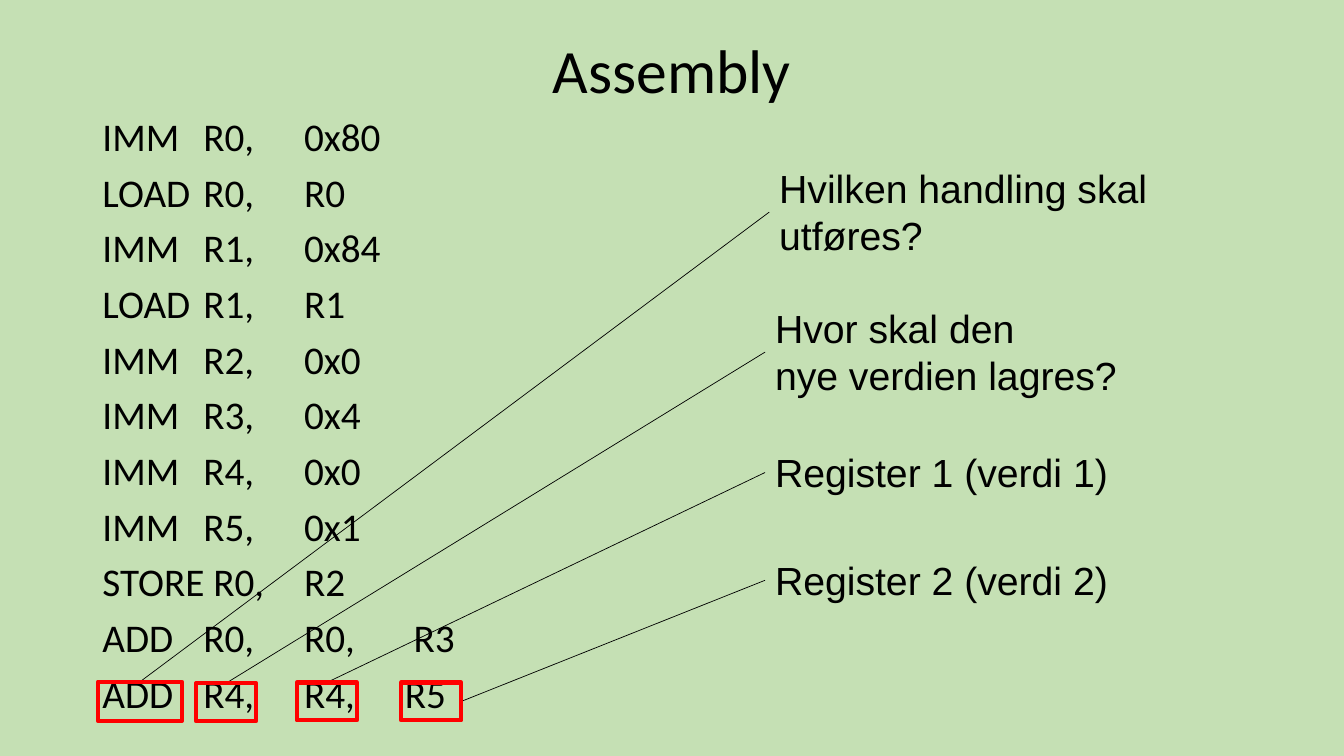
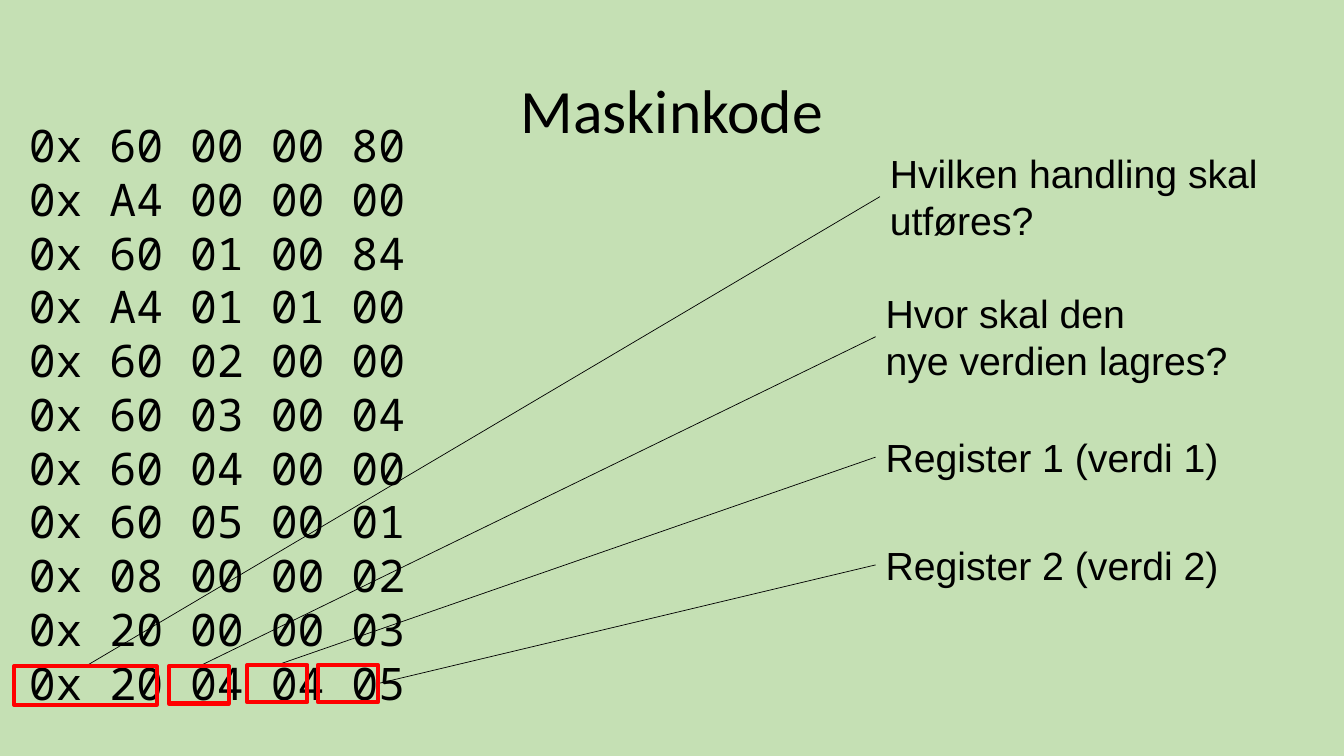
from dataclasses import dataclass

import lxml.etree
import pptx
import pptx.dml.color
import pptx.enum.shapes
import pptx.enum.text
import pptx.oxml.ns
import pptx.util

Pt = pptx.util.Pt
qn = pptx.oxml.ns.qn


# Shared look
@dataclass(frozen=True)
class Theme:
    background: str = "C5E0B4"
    ink: str = "000000"
    highlight: str = "FF0000"
    title_font: str = "Calibri"
    label_font: str = "Arial"
    machine_font: str = "Noto Sans Mono"
    title_size: float = 44
    text_size: float = 28
    machine_size: float = 32
    leader_width: float = 0.5
    frame_width: float = 3


@dataclass(frozen=True)
class Box:
    left: float
    top: float
    width: float
    height: float


@dataclass(frozen=True)
class Label:
    lines: tuple[str, ...]
    box: Box  # relative to the label column


THEME = Theme()
SLIDE_WIDTH, SLIDE_HEIGHT = 960, 540
TAB_GAP = 72

LABELS = (
    Label(("Hvilken handling skal utføres?",), Box(3, 0, 284, 75)),
    Label(("Hvor skal den", "nye verdien lagres?"), Box(0, 100, 287, 75)),
    Label(("Register 1 (verdi 1)",), Box(0, 203, 287, 41)),
    Label(("Register 2 (verdi 2)",), Box(0, 280, 287, 41)),
)

ASSEMBLY = (
    "IMM \tR0, \t0x80",
    "LOAD \tR0, \tR0",
    "IMM \tR1, \t0x84",
    "LOAD \tR1, \tR1",
    "IMM \tR2, \t0x0",
    "IMM \tR3, \t0x4",
    "IMM \tR4, \t0x0",
    "IMM \tR5, \t0x1",
    "STORE R0, \tR2",
    "ADD \tR0, \tR0,\t R3",
    "ADD \tR4, \tR4, \tR5",
)
MACHINE_CODE = (
    "0x 60 00 00 80",
    "0x A4 00 00 00",
    "0x 60 01 00 84",
    "0x A4 01 01 00",
    "0x 60 02 00 00",
    "0x 60 03 00 04",
    "0x 60 04 00 00",
    "0x 60 05 00 01",
    "0x 08 00 00 02",
    "0x 20 00 00 03",
    "0x 20 04 04 05",
)
ASSEMBLY_FRAMES = (
    Box(70, 487, 60, 28),
    Box(140, 488, 43, 27),
    Box(212, 487.5, 43, 27),
    Box(286.5, 487.5, 43, 27),
)
MACHINE_FRAMES = (
    Box(10, 476, 102, 27.5),
    Box(120.5, 476, 43, 26.5),
    Box(176.5, 475, 43, 26.5),
    Box(227, 475, 43, 26.5),
)


# Text helpers
def color(value: str) -> pptx.dml.color.RGBColor:
    return pptx.dml.color.RGBColor.from_string(value)


def write_text(shape, lines: tuple[str, ...], *, font: str, size: float,
               spacing: float | None = None, before: float = 0,
               alignment=None, tabs: int = 0) -> None:
    frame = shape.text_frame
    frame.word_wrap = True
    frame.auto_size = pptx.enum.text.MSO_AUTO_SIZE.NONE
    for index, line in enumerate(lines):
        paragraph = frame.add_paragraph() if index else frame.paragraphs[0]
        paragraph.alignment = alignment
        paragraph.line_spacing = spacing
        paragraph.space_before = Pt(before if index else 0)
        if tabs:
            set_plain_list(paragraph, tabs)
        run = paragraph.add_run()
        run.text = line
        run.font.name = font
        run.font.size = Pt(size)
        run.font.color.rgb = color(THEME.ink)


def set_plain_list(paragraph, tabs: int) -> None:
    """Remove the bullet and indent, and set evenly spaced tab stops."""
    properties = paragraph._p.get_or_add_pPr()
    properties.set("marL", "0")
    properties.set("indent", "0")
    lxml.etree.SubElement(properties, qn("a:buNone"))
    tab_list = lxml.etree.SubElement(properties, qn("a:tabLst"))
    for number in range(1, tabs + 1):
        lxml.etree.SubElement(tab_list, qn("a:tab"),
                              pos=str(Pt(number * TAB_GAP)), algn="l")


# Drawing helpers
def place(shape, box: Box) -> None:
    shape.left, shape.top = Pt(box.left), Pt(box.top)
    shape.width, shape.height = Pt(box.width), Pt(box.height)


def add_text_box(slide, box: Box):
    return slide.shapes.add_textbox(Pt(box.left), Pt(box.top),
                                    Pt(box.width), Pt(box.height))


def add_title(slide, text: str, top: float) -> None:
    title = slide.shapes.title
    place(title, Box(66, top, 828, 104.4))
    title.text_frame.vertical_anchor = pptx.enum.text.MSO_ANCHOR.MIDDLE
    write_text(title, (text,), font=THEME.title_font, size=THEME.title_size,
               spacing=0.9, alignment=pptx.enum.text.PP_ALIGN.CENTER)


def add_leader(slide, start: tuple[float, float],
               end: tuple[float, float]) -> None:
    connector = slide.shapes.add_connector(
        pptx.enum.shapes.MSO_CONNECTOR.STRAIGHT,
        *(Pt(value) for value in (*start, *end)))
    connector.line.color.rgb = color(THEME.ink)
    connector.line.width = Pt(THEME.leader_width)
    lxml.etree.SubElement(connector._element.spPr, qn("a:effectLst"))


def add_frame(slide, box: Box) -> None:
    frame = slide.shapes.add_shape(
        pptx.enum.shapes.MSO_SHAPE.RECTANGLE, Pt(box.left), Pt(box.top),
        Pt(box.width), Pt(box.height))
    frame.shadow.inherit = False
    frame.fill.background()
    frame.line.color.rgb = color(THEME.highlight)
    frame.line.width = Pt(THEME.frame_width)


def add_callouts(slide, left: float, top: float,
                 frames: tuple[Box, ...]) -> None:
    """Join each label to its frame; the last leader meets the right side."""
    boxes = [Box(left + label.box.left, top + label.box.top,
                 label.box.width, label.box.height) for label in LABELS]
    for label, box in zip(LABELS, boxes):
        write_text(add_text_box(slide, box), label.lines,
                   font=THEME.label_font, size=THEME.text_size)
    for box, frame in zip(boxes, frames):
        if frame is frames[-1]:
            end = (frame.left + frame.width, frame.top + frame.height / 2)
        else:
            end = (frame.left + frame.width / 2, frame.top)
        add_leader(slide, (box.left, box.top + box.height / 2), end)
    for frame in frames:
        add_frame(slide, frame)


# Slides
def add_assembly_slide(presentation) -> None:
    slide = presentation.slides.add_slide(presentation.slide_layouts[1])
    add_title(slide, "Assembly", 0)
    body = slide.placeholders[1]
    place(body, Box(66, 80.5, 828, 430.5))
    write_text(body, ASSEMBLY, font=THEME.title_font, size=THEME.text_size,
               spacing=0.9, before=9.5, tabs=3)
    add_callouts(slide, 546.5, 114, ASSEMBLY_FRAMES)


def add_machine_code_slide(presentation) -> None:
    slide = presentation.slides.add_slide(presentation.slide_layouts[5])
    add_title(slide, "Maskinkode", 29)
    code = add_text_box(slide, Box(13.5, 80.5, 480, 433.5))
    write_text(code, MACHINE_CODE, font=THEME.machine_font,
               size=THEME.machine_size)
    add_callouts(slide, 625.5, 103, MACHINE_FRAMES)


def main() -> None:
    presentation = pptx.Presentation()
    presentation.slide_width = Pt(SLIDE_WIDTH)
    presentation.slide_height = Pt(SLIDE_HEIGHT)
    background = presentation.slide_master.background.fill
    background.solid()
    background.fore_color.rgb = color(THEME.background)
    add_assembly_slide(presentation)
    add_machine_code_slide(presentation)
    presentation.save("out.pptx")


if __name__ == "__main__":
    main()
